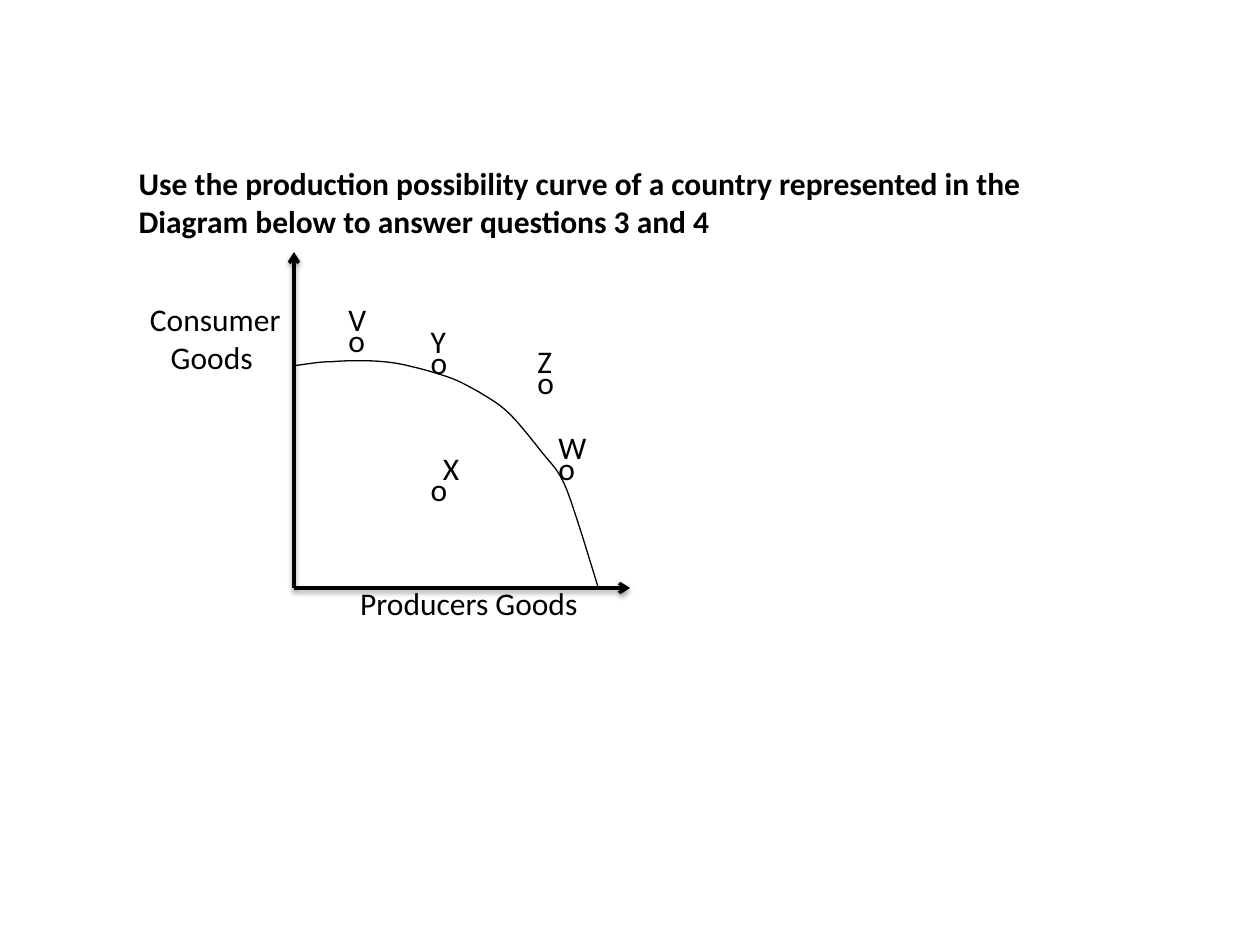
from lxml import etree
from pptx import Presentation
from pptx.dml.color import RGBColor
from pptx.enum.shapes import MSO_CONNECTOR
from pptx.enum.text import MSO_ANCHOR, MSO_AUTO_SIZE, PP_ALIGN
from pptx.oxml import parse_xml
from pptx.oxml.ns import nsdecls, qn
from pptx.util import Inches, Pt

BLACK = RGBColor(0, 0, 0)

deck = Presentation()
deck.slide_width, deck.slide_height = Inches(10), Inches(7.5)
UNIT = deck.slide_width / 60
slide = deck.slides.add_slide(deck.slide_layouts[5])


def units(*counts):
    return [round(count * UNIT) for count in counts]


def write(frame, lines, align=PP_ALIGN.LEFT, bold=False):
    frame.word_wrap = False
    frame.auto_size = MSO_AUTO_SIZE.SHAPE_TO_FIT_TEXT
    frame.vertical_anchor = MSO_ANCHOR.TOP
    frame.text = "\n".join(lines)
    for line in frame.paragraphs:
        line.alignment = align
        line.font.name = "Calibri"
        line.font.size = Pt(18)
        line.font.bold = bold
        line.font.color.rgb = BLACK


instruction = slide.shapes.title
instruction.left, instruction.top, instruction.width, instruction.height = units(6, 7.5, 43.92, 4.24)
write(instruction.text_frame, [
    "Use the production possibility curve of a country represented in the",
    "Diagram below to answer questions 3 and 4",
], bold=True)

for end in ((14, 12), (30, 28)):
    axis = slide.shapes.add_connector(MSO_CONNECTOR.STRAIGHT, *units(14, 28, *end))
    axis.line.color.rgb = BLACK
    axis.line.width = Pt(2)
    etree.SubElement(axis.line._get_or_add_ln(), qn("a:tailEnd"), type="arrow")
    axis._element.spPr.append(parse_xml(
        f'<a:effectLst {nsdecls("a")}><a:outerShdw blurRad="{Pt(3.1)}" dist="{Pt(1.6)}" '
        'dir="5400000" rotWithShape="0"><a:srgbClr val="000000"><a:alpha val="38000"/>'
        '</a:srgbClr></a:outerShdw></a:effectLst>'))

START = (2.35, 2.9)
BENDS = [
    ((2.44, 2.89), (2.53, 2.87), (2.64, 2.87)),
    ((2.76, 2.86), (2.93, 2.86), (3.04, 2.87)),
    ((3.14, 2.88), (3.19, 2.89), (3.27, 2.91)),
    ((3.36, 2.93), (3.46, 2.96), (3.55, 2.99)),
    ((3.64, 3.02), (3.71, 3.06), (3.8, 3.11)),
    ((3.88, 3.16), (3.96, 3.2), (4.05, 3.29)),
    ((4.13, 3.37), (4.23, 3.5), (4.31, 3.6)),
    ((4.39, 3.7), (4.43, 3.72), (4.5, 3.89)),
    ((4.57, 4.07), (4.75, 4.67), (4.75, 4.67)),
]
STEPS = 8
frontier_points = []
origin = START
for bend in BENDS:
    for step in range(1, STEPS + 1):
        t = step / STEPS
        weights = ((1 - t) ** 3, 3 * t * (1 - t) ** 2, 3 * t ** 2 * (1 - t), t ** 3)
        frontier_points.append(tuple(
            Inches(sum(w * value for w, value in zip(weights, values)))
            for values in zip(origin, *bend)))
    origin = bend[-1]

outline = slide.shapes.build_freeform(Inches(START[0]), Inches(START[1]))
outline.add_line_segments(frontier_points, close=False)
frontier = outline.convert_to_shape()
frontier.shadow.inherit = False
frontier.fill.background()
frontier.line.color.rgb = BLACK
frontier.line.width = Pt(0.75)

POINTS = [
    ("V", 16, 15, 16, 2.1),
    ("Y", 19.92, 16.05, 19.92, 1.92),
    ("Z", 25, 17, 25, 1.92),
    ("W", 26, 21.08, 26, 2.58),
    ("X", 19.92, 22.08, 20.5, 1.98),
]
for letter, column, row, letter_column, letter_width in POINTS:
    marker = slide.shapes.add_textbox(*units(column, row, 2.04, 2.42))
    write(marker.text_frame, ["o"])
    name = slide.shapes.add_textbox(*units(letter_column, row - 1, letter_width, 2.42))
    write(name.text_frame, [letter])

consumer = slide.shapes.add_textbox(*units(6.5, 14, 7.5, 4.24))
write(consumer.text_frame, ["Consumer", "Goods "], PP_ALIGN.CENTER)
producers = slide.shapes.add_textbox(*units(16.5, 27.5, 12, 2.42))
write(producers.text_frame, ["Producers Goods "], PP_ALIGN.CENTER)

deck.save("out.pptx")
